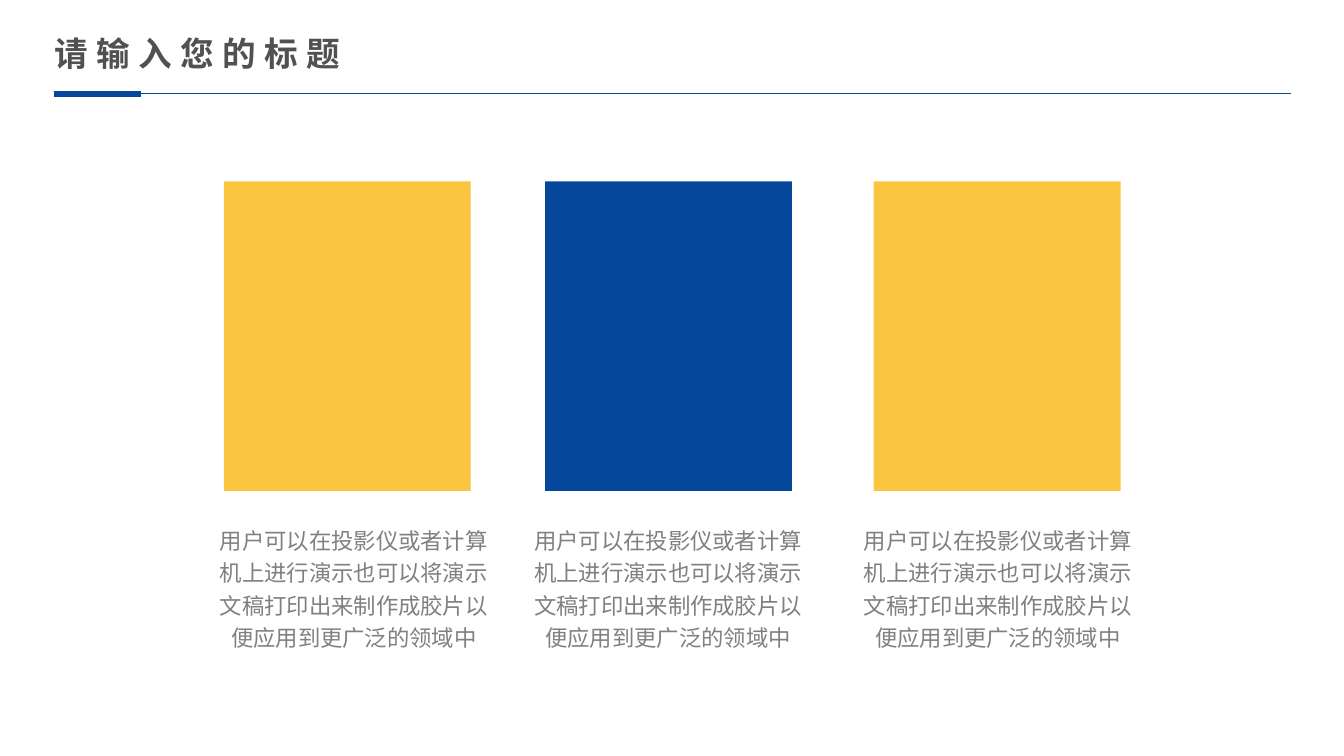
from dataclasses import dataclass

from lxml.etree import SubElement
from pptx import Presentation
from pptx.dml.color import RGBColor
from pptx.enum.shapes import MSO_CONNECTOR, MSO_SHAPE
from pptx.enum.text import MSO_AUTO_SIZE, PP_ALIGN
from pptx.oxml.ns import qn
from pptx.util import Cm, Pt


@dataclass(frozen=True)
class Theme:
    blue: RGBColor = RGBColor(0x05, 0x48, 0x9B)
    yellow: RGBColor = RGBColor(0xFB, 0xC6, 0x3F)
    title: RGBColor = RGBColor(0x51, 0x51, 0x51)
    body: RGBColor = RGBColor(0x80, 0x80, 0x80)
    font: str = "Noto Sans CJK SC"
    title_size: int = 24
    body_size: int = 16


THEME = Theme()
TITLE = "请输入您的标题"
CAPTION = "用户可以在投影仪或者计算机上进行演示也可以将演示文稿打印出来制作成胶片以便应用到更广泛的领域中"
COLUMNS = [
    (5.64, 5.16, THEME.yellow),
    (13.74, 13.08, THEME.blue),
    (22.02, 21.39, THEME.yellow),
]


def add_text(s, text, x, y, w, h, size, color):
    tf = s.shapes.add_textbox(Cm(x), Cm(y), Cm(w), Cm(h)).text_frame
    tf.word_wrap = True
    tf.auto_size = MSO_AUTO_SIZE.SHAPE_TO_FIT_TEXT
    tf.text = text
    p = tf.paragraphs[0]
    r = p.runs[0]
    r.font.size = Pt(size)
    r.font.color.rgb = color
    r.font.name = THEME.font
    SubElement(r.font._element, qn("a:ea")).set("typeface", THEME.font)
    return p


def add_title(s):
    p = add_text(s, TITLE, 1.12, 0.71, 8.89, 1.27, THEME.title_size, THEME.title)
    font = p.runs[0].font
    font.bold = True
    font._element.set("spc", "600")


def add_rule(s, x1, x2, y, width):
    sp = s.shapes.add_connector(MSO_CONNECTOR.STRAIGHT, Cm(x1), Cm(y), Cm(x2), Cm(y))
    sp.line.color.rgb = THEME.blue
    sp.line.width = Pt(width)
    SubElement(sp._element.spPr, qn("a:effectLst"))


def add_card(s, x, color):
    sp = s.shapes.add_shape(MSO_SHAPE.RECTANGLE, Cm(x), Cm(4.57), Cm(6.22), Cm(7.8))
    sp.shadow.inherit = False
    sp.fill.solid()
    sp.fill.fore_color.rgb = color
    sp.line.fill.background()


def add_caption(s, x):
    p = add_text(s, CAPTION, x, 13.03, 7.52, 3.48, THEME.body_size, THEME.body)
    p.alignment = PP_ALIGN.CENTER
    p.line_spacing = 1.2


def main():
    prs = Presentation()
    prs.slide_width, prs.slide_height = Cm(33.87), Cm(19.05)
    s = prs.slides.add_slide(prs.slide_layouts[6])
    for card_x, caption_x, color in COLUMNS:
        add_caption(s, caption_x)
        add_card(s, card_x, color)
    add_rule(s, 1.35, 3.56, 2.36, 4.5)
    add_rule(s, 3.56, 32.54, 2.36, 0.5)
    add_title(s)
    prs.save("out.pptx")


if __name__ == "__main__":
    main()
